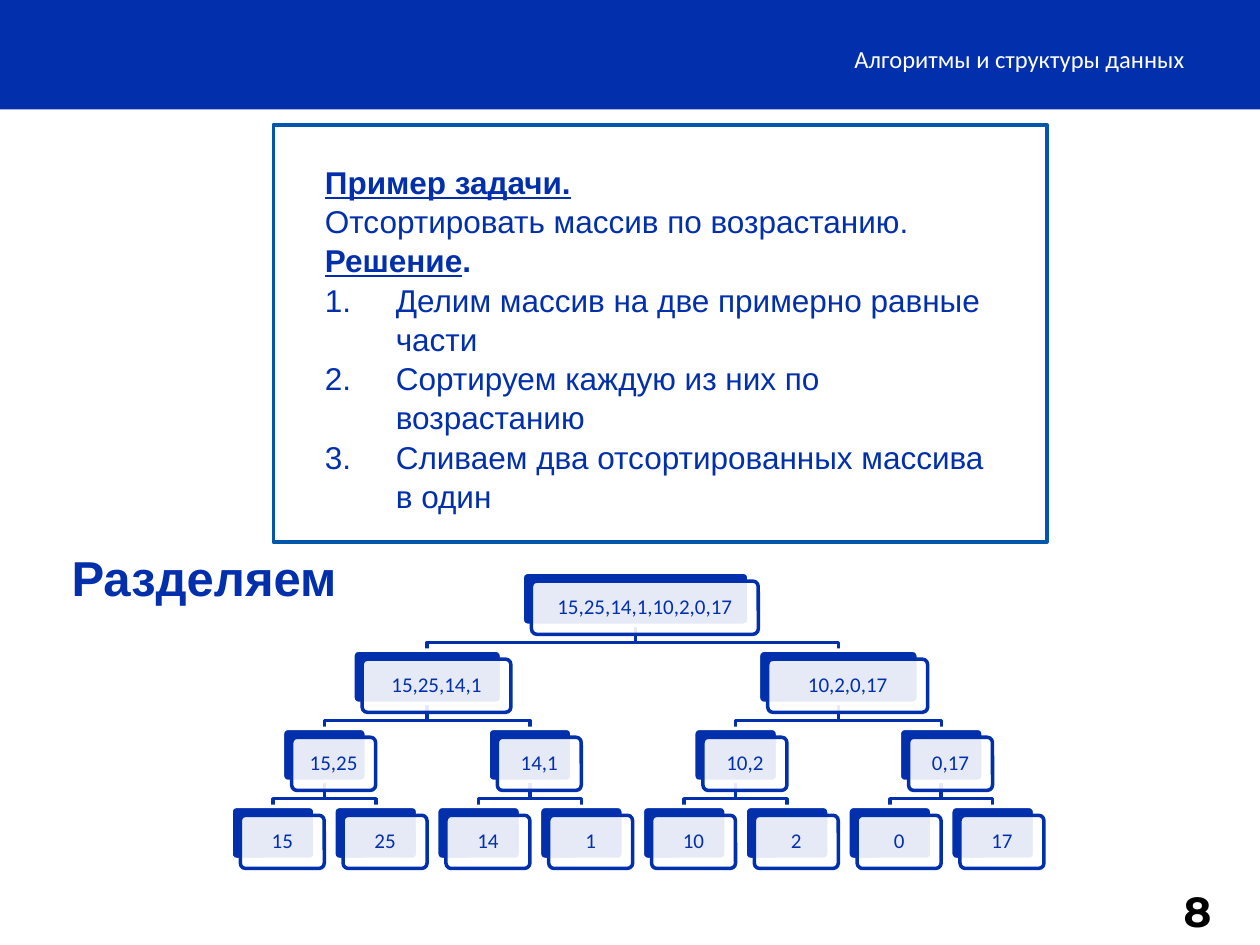
from dataclasses import dataclass, field
from typing import Optional

import lxml.etree
import pptx
import pptx.dml.color
import pptx.enum.shapes
import pptx.enum.text
import pptx.oxml.ns
import pptx.util

Pt = pptx.util.Pt
qn = pptx.oxml.ns.qn
Shape = pptx.enum.shapes.MSO_SHAPE
Align = pptx.enum.text.PP_ALIGN
Anchor = pptx.enum.text.MSO_ANCHOR

BLUE, WHITE, BLACK, FRAME = "0230AC", "FFFFFF", "000000", "0057AC"
VALUES = [15, 25, 14, 1, 10, 2, 0, 17]
WIDTHS = {"15,25,14,1,10,2,0,17": 129.6, "15,25,14,1": 85, "10,2,0,17": 91.4}
NODE_W, NODE_H = 48, 30.4
LEAF_X, LEAF_STEP = 156, 58.75
ROOT_Y, LEVEL_STEP = 327, 44.6
FRONT_DX, FRONT_DY = 5.3, 5.1
ELBOW_GAP = 4.4


@dataclass
class Node:
    label: str
    level: int
    center: float
    children: list["Node"] = field(default_factory=list)

    @property
    def width(self) -> float:
        return WIDTHS.get(self.label, NODE_W)

    @property
    def left(self) -> float:
        return self.center - self.width / 2

    @property
    def top(self) -> float:
        return ROOT_Y + self.level * LEVEL_STEP


@dataclass
class Label:
    text: str
    left: float
    top: float
    width: float
    height: float
    size: float
    font: str
    color: str
    bold: bool = False
    align: Optional[Align] = None
    anchor: Anchor = Anchor.TOP


def rgb(color: str) -> pptx.dml.color.RGBColor:
    return pptx.dml.color.RGBColor.from_string(color)


def style_font(p, size: float, name: str, color: str, bold: bool = False) -> None:
    p.font.size, p.font.name, p.font.bold = Pt(size), name, bold
    p.font.color.rgb = rgb(color)


def add_box(shapes, kind: Shape, left: float, top: float, width: float, height: float,
            fill: str, line: Optional[str] = None):
    sp = shapes.add_shape(kind, Pt(left), Pt(top), Pt(width), Pt(height))
    sp.shadow.inherit = False
    sp.fill.solid()
    sp.fill.fore_color.rgb = rgb(fill)
    if line:
        sp.line.color.rgb = rgb(line)
        sp.line.width = Pt(2)
    else:
        sp.line.fill.background()
    return sp


def add_text_frame(shapes, left: float, top: float, width: float, height: float):
    tf = shapes.add_textbox(Pt(left), Pt(top), Pt(width), Pt(height)).text_frame
    tf.word_wrap = True
    return tf


def add_label(shapes, label: Label) -> None:
    tf = add_text_frame(shapes, label.left, label.top, label.width, label.height)
    tf.vertical_anchor = label.anchor
    p = tf.paragraphs[0]
    p.text, p.alignment = label.text, label.align
    style_font(p, label.size, label.font, label.color, label.bold)


def add_task(shapes) -> None:
    tf = add_text_frame(shapes, 178.6, 88.6, 393.8, 203.8)
    headed = [
        [("Пример задачи.", True)],
        "Отсортировать массив по возрастанию.",
        [("Решение", True), (".", False)],
    ]
    steps = [
        "Делим массив на две примерно равные части",
        "Сортируем каждую из них по возрастанию",
        "Сливаем два отсортированных массива в один",
    ]
    for i, content in enumerate(headed + steps):
        p = tf.paragraphs[0] if i == 0 else tf.add_paragraph()
        is_heading = isinstance(content, list)
        style_font(p, 18, "Arial", BLUE, is_heading)
        p.line_spacing = 1.04
        for text, underlined in content if is_heading else [(content, False)]:
            r = p.add_run()
            r.text, r.font.underline = text, underlined
        if i >= len(headed):
            number_paragraph(p)


def number_paragraph(p) -> None:
    props = p._p.get_or_add_pPr()
    props.set("marL", str(Pt(40.5)))
    props.set("indent", str(-Pt(40.5)))
    bullet = lxml.etree.Element(qn("a:buAutoNum"), type="arabicPeriod")
    props.find(qn("a:defRPr")).addprevious(bullet)


def split(values: list[int], level: int = 0, first: int = 0) -> Node:
    label = ",".join(map(str, values))
    if len(values) == 1:
        return Node(label, level, LEAF_X + first * LEAF_STEP)
    half = len(values) // 2
    a = split(values[:half], level + 1, first)
    b = split(values[half:], level + 1, first + half)
    return Node(label, level, (a.left + b.left + b.width) / 2, [a, b])


def draw_links(shapes, node: Node) -> None:
    for child in node.children:
        draw_links(shapes, child)
        bend = child.top - ELBOW_GAP
        fb = shapes.build_freeform(Pt(node.center), Pt(node.top + NODE_H))
        fb.add_line_segments([(Pt(node.center), Pt(bend)), (Pt(child.center), Pt(bend)),
                              (Pt(child.center), Pt(child.top))], close=False)
        sp = fb.convert_to_shape()
        sp.shadow.inherit = False
        sp.fill.background()
        sp.line.color.rgb = rgb(BLUE)
        sp.line.width = Pt(2)


def draw_nodes(shapes, node: Node) -> None:
    back = add_box(shapes, Shape.ROUNDED_RECTANGLE, node.left, node.top,
                   node.width, NODE_H, BLUE, WHITE)
    front = add_box(shapes, Shape.ROUNDED_RECTANGLE, node.left + FRONT_DX,
                    node.top + FRONT_DY, node.width, NODE_H, WHITE, BLUE)
    back.adjustments[0] = front.adjustments[0] = 0.1
    fill = front.fill._xPr.find(qn("a:solidFill"))[0]
    lxml.etree.SubElement(fill, qn("a:alpha"), val="90000")
    tf = front.text_frame
    tf.margin_left = tf.margin_right = tf.margin_top = tf.margin_bottom = Pt(3.6)
    tf.word_wrap, tf.vertical_anchor = True, Anchor.MIDDLE
    p = tf.paragraphs[0]
    p.text, p.alignment, p.line_spacing = node.label, Align.CENTER, 0.9
    style_font(p, 12, "Calibri", BLUE)
    for child in node.children:
        draw_nodes(shapes, child)


def main() -> None:
    prs = pptx.Presentation()
    prs.slide_width, prs.slide_height = Pt(720), Pt(540)
    shapes = prs.slides.add_slide(prs.slide_layouts[6]).shapes
    add_box(shapes, Shape.RECTANGLE, 0, 0, 720, 62.6, BLUE)
    add_label(shapes, Label("Алгоритмы и структуры данных", 317.5, 19.4, 366.5, 28.8, 14,
                            "Calibri", WHITE, align=Align.RIGHT, anchor=Anchor.MIDDLE))
    add_label(shapes, Label("8", 660.2, 502.6, 48.2, 36, 24, "Montserrat", BLACK,
                            bold=True, align=Align.CENTER))
    add_box(shapes, Shape.RECTANGLE, 156.2, 71.3, 442.1, 238.3, WHITE, FRAME)
    add_task(shapes)
    add_label(shapes, Label("Разделяем", 33.8, 309.6, 244.1, 41, 28, "Arial", BLUE, bold=True))
    tree = split(VALUES)
    draw_links(shapes, tree)
    draw_nodes(shapes, tree)
    prs.save("out.pptx")


if __name__ == "__main__":
    main()
